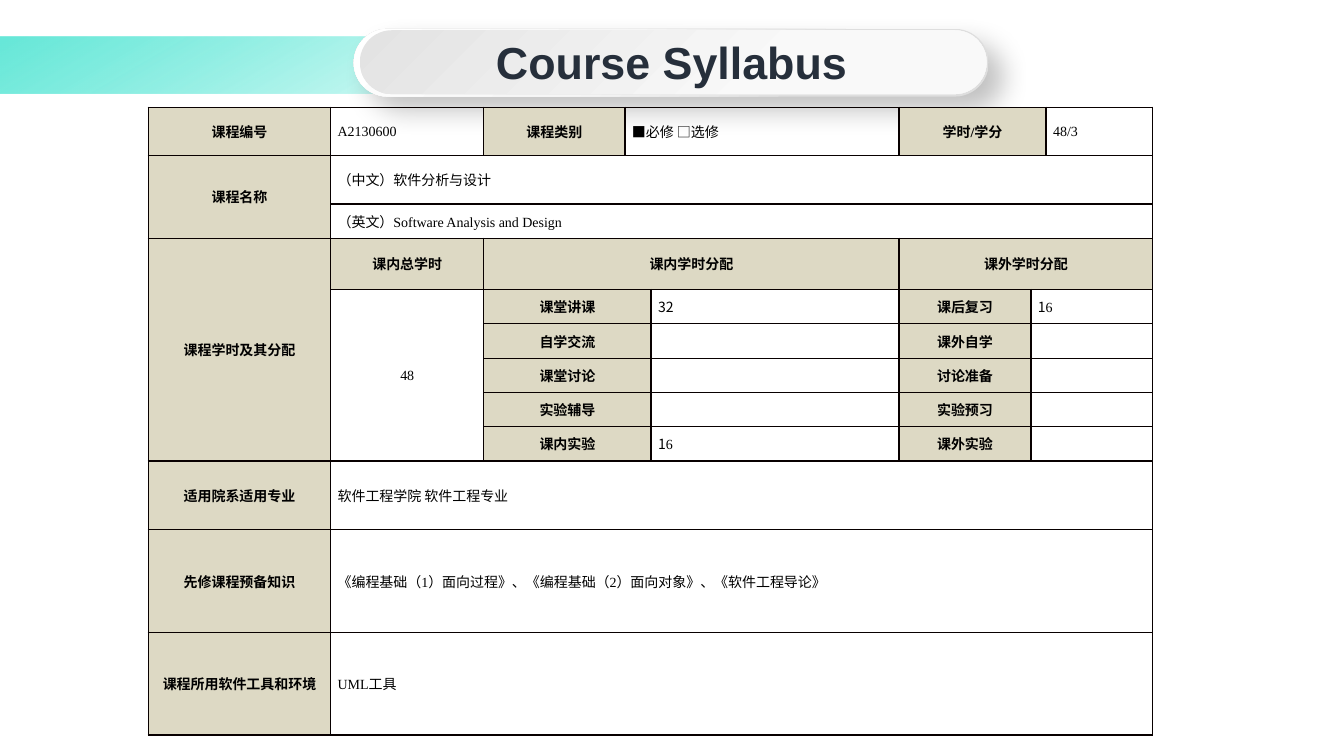
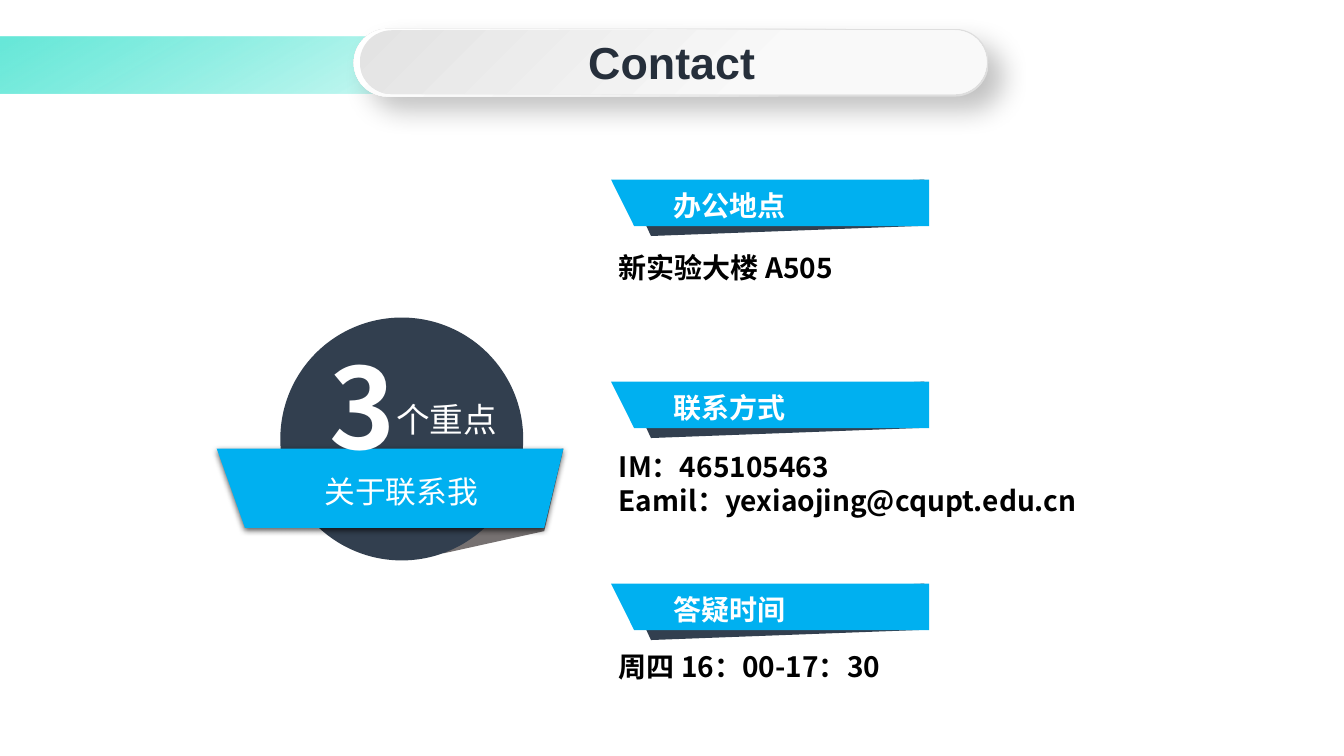
from lxml.etree import SubElement
from pptx import Presentation
from pptx.dml.color import RGBColor
from pptx.enum.shapes import MSO_SHAPE
from pptx.enum.text import MSO_ANCHOR, PP_ALIGN
from pptx.oxml.ns import qn
from pptx.util import Pt

INK = RGBColor(0x26, 0x2F, 0x3B)
NAVY = RGBColor(0x32, 0x3F, 0x4F)
BLUE = RGBColor(0x00, 0xB0, 0xF0)
TAUPE = RGBColor(0x76, 0x71, 0x71)
SAND = RGBColor(0xDD, 0xD9, 0xC4)
BORDER = RGBColor(0x08, 0x00, 0x00)
BLACK = RGBColor(0x00, 0x00, 0x00)
WHITE = RGBColor(0xFF, 0xFF, 0xFF)
CJK, SERIF, SANS = "Noto Sans CJK SC", "Times New Roman", "Arial"

# Title band: shape, box, corner, gradient angle, stops (position, colour, opacity)
HEADER = [
    (MSO_SHAPE.RECTANGLE, (-0.7, 26, 948, 41), 60,
     [(1, "4EE4D2", 85), (50, "20E2CB", 0)]),
    (MSO_SHAPE.ROUNDED_RECTANGLE, (252.7, 20.6, 453.6, 48.4), 225,
     [(1, "DEDEDE", 100), (30, "E0E0E0", 100), (61, "F6F6F6", 100), (100, "FFFFFF", 100)]),
    (MSO_SHAPE.ROUNDED_RECTANGLE, (257, 21.6, 447.8, 45.6), 45,
     [(0, "E3E3E3", 100), (67, "F9F9F9", 100)]),
]
TITLES = ["Course Syllabus", "Contact"]

# Table cells: row, column, rows spanned, columns spanned, text
LABELS = [
    (0, 0, 1, 1, "课程编号"), (0, 2, 1, 1, "课程类别"), (0, 5, 1, 2, "学时/学分"),
    (1, 0, 2, 1, "课程名称"), (3, 0, 6, 1, "课程学时及其分配"),
    (3, 1, 1, 1, "课内总学时"), (3, 2, 1, 3, "课内学时分配"), (3, 5, 1, 3, "课外学时分配"),
    (4, 2, 1, 2, "课堂讲课"), (4, 5, 1, 1, "课后复习"),
    (5, 2, 1, 2, "自学交流"), (5, 5, 1, 1, "课外自学"),
    (6, 2, 1, 2, "课堂讨论"), (6, 5, 1, 1, "讨论准备"),
    (7, 2, 1, 2, "实验辅导"), (7, 5, 1, 1, "实验预习"),
    (8, 2, 1, 2, "课内实验"), (8, 5, 1, 1, "课外实验"),
    (9, 0, 1, 1, "适用院系适用专业"), (10, 0, 1, 1, "先修课程预备知识"),
    (11, 0, 1, 1, "课程所用软件工具和环境"),
]
# Digits before "|" are set in the CJK font
VALUES = [
    (0, 1, 1, 1, "A2130600"), (0, 3, 1, 2, "■必修 □选修"), (0, 7, 1, 1, "48/3"),
    (1, 1, 1, 7, "（中文）软件分析与设计"),
    (2, 1, 1, 7, "（英文）Software Analysis and Design"),
    (4, 1, 5, 1, "48"), (4, 4, 1, 1, "32|"), (4, 6, 1, 2, "1|6"),
    (5, 6, 1, 2, ""), (6, 6, 1, 2, ""), (7, 6, 1, 2, ""),
    (8, 4, 1, 1, "1|6"), (8, 6, 1, 2, ""),
    (9, 1, 1, 7, "软件工程学院 软件工程专业"),
    (10, 1, 1, 7, "《编程基础（1）面向过程》、《编程基础（2）面向对象》、《软件工程导论》"),
    (11, 1, 1, 7, "UML工具"),
]
COLUMNS = [130.3, 109.4, 100.8, 18.7, 177.1, 94.3, 10.8, 76.3]
ROWS = [34.6, 34.6, 24.5, 36.7] + [24.5] * 5 + [49, 73.4, 73.4]

CONTACTS = [
    ("办公地点", ["新实验大楼 A505"]),
    ("联系方式", ["IM：465105463", "Eamil：yexiaojing@cqupt.edu.cn"]),
    ("答疑时间", ["周四 16：00-17：30"]),
]


def add_run(p, text, name, size, colour, bold):
    """Add a run whose East Asian text always uses the CJK font."""
    r = p.add_run()
    r.text = text
    for key, value in {"name": name, "size": Pt(size), "bold": bold}.items():
        setattr(r.font, key, value)
    r.font.color.rgb = colour
    SubElement(r.font._element, qn("a:ea"), typeface=CJK)


def add_outline(s, points, colour):
    """Draw a closed, filled outline through points given in points."""
    corners = [(Pt(x), Pt(y)) for x, y in points]
    builder = s.shapes.build_freeform(*corners[0], scale=1.0)
    builder.add_line_segments(corners[1:], close=True)
    sp = builder.convert_to_shape()
    sp.shadow.inherit = False
    sp.fill.solid()
    sp.fill.fore_color.rgb = colour
    sp.line.fill.background()
    return sp


prs = Presentation()
prs.slide_width, prs.slide_height = Pt(960), Pt(540)
shadows = []  # shape, blur, distance, angle, opacity

# Shared title band
slides = []
for title in TITLES:
    s = prs.slides.add_slide(prs.slide_layouts[5])
    slides.append(s)
    for kind, box, angle, stops in HEADER:
        sp = s.shapes.add_shape(kind, *map(Pt, box))
        sp.shadow.inherit = False
        sp.line.fill.background()
        if kind == MSO_SHAPE.ROUNDED_RECTANGLE:
            sp.adjustments[0] = 0.5
        sp.fill.gradient()
        sp.fill.gradient_angle = 360 - angle
        stop_list = sp.element.spPr.find(".//" + qn("a:gsLst"))
        for old in list(stop_list):
            stop_list.remove(old)
        for position, colour, opacity in stops:
            gs = SubElement(stop_list, qn("a:gs"), pos=str(position * 1000))
            clr = SubElement(gs, qn("a:srgbClr"), val=colour)
            SubElement(clr, qn("a:alpha"), val=str(opacity * 1000))
        if angle == 225:
            shadows.append((sp, 19, 14, 45, 24))
    heading = s.shapes.title
    sp.element.addnext(heading.element)
    heading.left, heading.top, heading.width, heading.height = map(Pt, (274.3, 21, 411, 46))
    tf = heading.text_frame
    tf.vertical_anchor = MSO_ANCHOR.MIDDLE
    p = tf.paragraphs[0]
    p.alignment = PP_ALIGN.CENTER
    add_run(p, title, SANS, 32, INK, True)

syllabus, contact = slides

# Syllabus table
table = syllabus.shapes.add_table(
    len(ROWS), len(COLUMNS), Pt(105.9), Pt(76.5), Pt(sum(COLUMNS)), Pt(sum(ROWS))).table
table.first_row = table.horz_banding = False
for column, width in zip(table.columns, COLUMNS):
    column.width = Pt(width)
for row, height in zip(table.rows, ROWS):
    row.height = Pt(height)
for cell in table.iter_cells():
    cell.margin_left = cell.margin_right = Pt(5)
    cell.margin_top = cell.margin_bottom = 0
    cell.vertical_anchor = MSO_ANCHOR.MIDDLE
    tcPr = cell._tc.get_or_add_tcPr()
    for side in ("L", "R", "T", "B"):
        ln = SubElement(tcPr, qn(f"a:ln{side}"), w=str(Pt(1)))
        SubElement(SubElement(ln, qn("a:solidFill")), qn("a:srgbClr"), val=str(BORDER))
    cell.fill.background()
for cells, is_label in ((LABELS, True), (VALUES, False)):
    for row, col, down, across, text in cells:
        cell = table.cell(row, col)
        if down * across > 1:
            cell.merge(table.cell(row + down - 1, col + across - 1))
        if is_label:
            cell.fill.solid()
            cell.fill.fore_color.rgb = SAND
        p = cell.text_frame.paragraphs[0]
        if is_label or text == "48":
            p.alignment = PP_ALIGN.CENTER
        first, _, rest = text.rpartition("|")
        for part, name in ((first, CJK), (rest, SERIF)):
            if part:
                add_run(p, part, name, 10, BLACK, is_label)

# Contact ribbons; text boxes: box, lines, size, colour, bold, wrap
texts = []
for i, (label, lines) in enumerate(CONTACTS):
    top = 128.3 + 144.3 * i
    fold = [(450, 8), (660.2, 0), (660.2, 33), (465, 40.3)]
    ribbon = [(436.5, 0), (663.6, 0), (663.6, 33.2), (453, 33.2)]
    for points, colour in ((fold, NAVY), (ribbon, BLUE)):
        add_outline(contact, [(x, top + y) for x, y in points], colour)
    texts.append(((473.8, top + 3, 94.3, 31.7), [label], 20, WHITE, True, False))
    texts.append(((434.9, 175.2 + 142.6 * i, 342, 7.2 + 24 * len(lines)),
                  lines, 20, BLACK, True, True))

# Badge
add_outline(contact, [(296.6, 342), (402.5, 320.4), (388.8, 379.4), (316.8, 395.3)], TAUPE)
disc = contact.shapes.add_shape(MSO_SHAPE.OVAL, Pt(200.2), Pt(226.8), Pt(173.5), Pt(173.5))
disc.shadow.inherit = False
disc.fill.solid()
disc.fill.fore_color.rgb = NAVY
disc.line.fill.background()
banner = add_outline(contact, [(154.8, 320.4), (402.5, 320.4), (388.8, 377), (175, 377)], BLUE)
shadows.append((banner, 4.5, 1.5, 90, 63))
texts += [
    ((228.2, 237.8, 64, 104.4), ["3"], 80, WHITE, True, False),
    ((275.8, 281.4, 109.4, 36), ["个重点"], 24, WHITE, False, True),
    ((224.6, 333.9, 124.6, 33.8), ["关于联系我"], 22, WHITE, False, False),
]

for box, lines, size, colour, bold, wrap in texts:
    tf = contact.shapes.add_textbox(*map(Pt, box)).text_frame
    tf.word_wrap = wrap
    for i, line in enumerate(lines):
        p = tf.add_paragraph() if i else tf.paragraphs[0]
        p.line_spacing = Pt(1.2 * size)
        add_run(p, line, CJK, size, colour, bold)

for sp, blur, distance, angle, opacity in shadows:
    effects = sp.element.spPr.find(qn("a:effectLst"))
    shadow = SubElement(effects, qn("a:outerShdw"), blurRad=str(Pt(blur)), dist=str(Pt(distance)),
                        dir=str(angle * 60000), algn="ctr", rotWithShape="0")
    clr = SubElement(shadow, qn("a:srgbClr"), val=str(BLACK))
    SubElement(clr, qn("a:alpha"), val=str(opacity * 1000))

prs.save("out.pptx")
